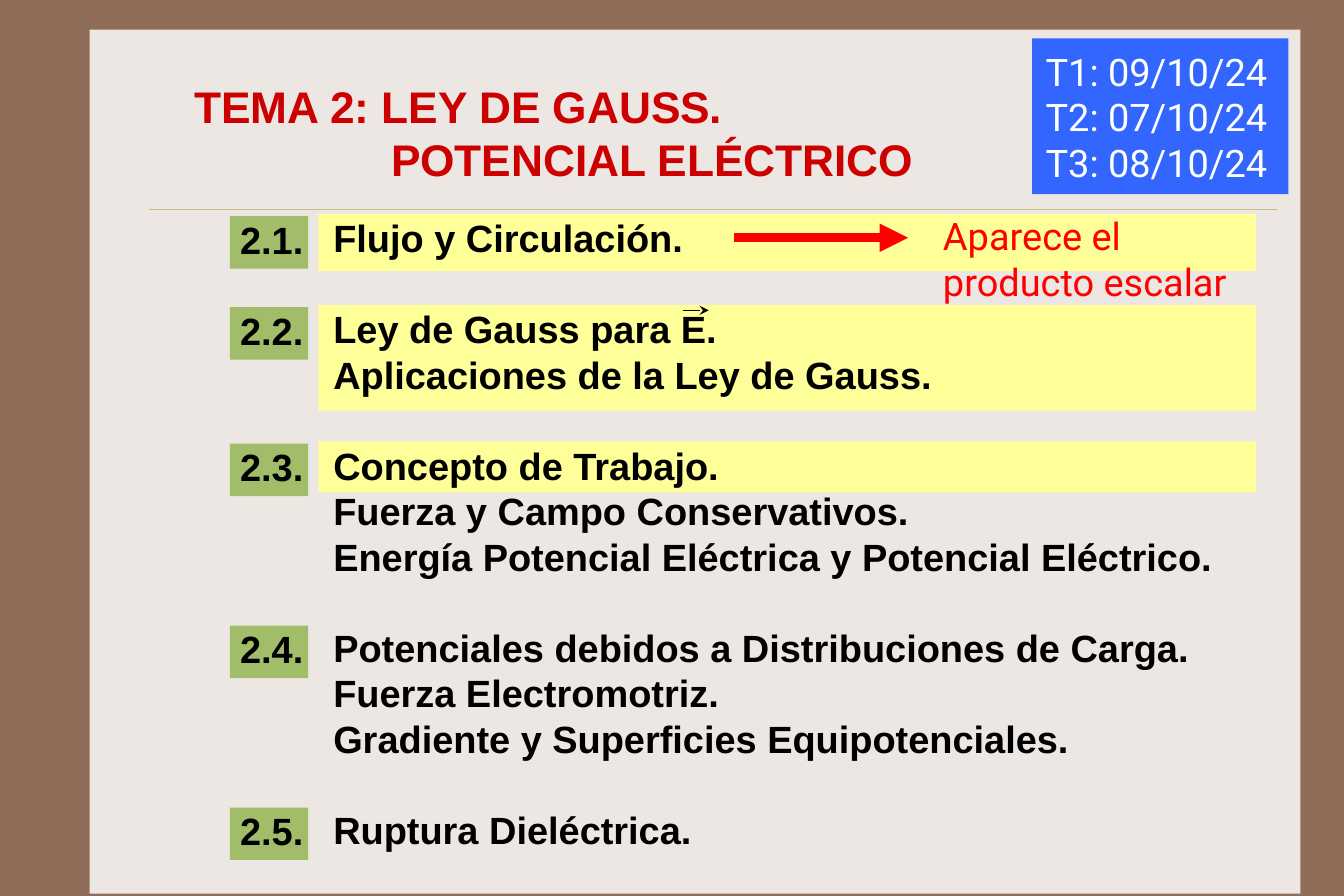
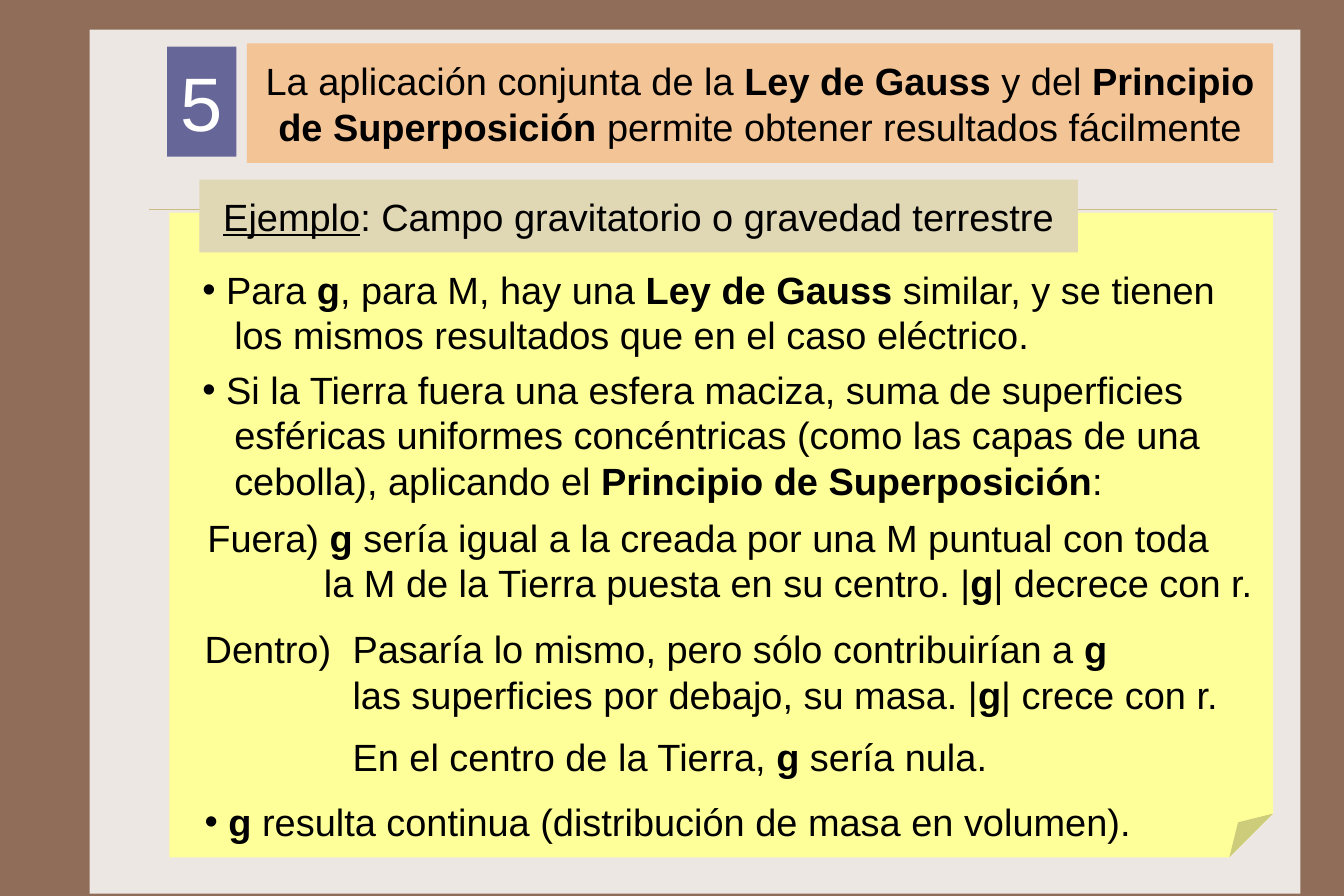
from dataclasses import dataclass

import lxml.etree
import pptx
import pptx.dml.color
import pptx.enum.shapes
import pptx.enum.text
import pptx.oxml.ns
import pptx.util

Cm, Pt = pptx.util.Cm, pptx.util.Pt
Kind = pptx.enum.shapes.MSO_SHAPE
Align = pptx.enum.text.PP_ALIGN
Anchor = pptx.enum.text.MSO_ANCHOR
qn = pptx.oxml.ns.qn

HUES = {
    "back": "906D58", "panel": "EDE7E3", "rule": "CBBD83", "yellow": "FFFF99",
    "green": "A1BD69", "blue": "3366FF", "peach": "F3C495", "sand": "E0D7B5",
    "violet": "666699", "black": "000000", "white": "FFFFFF", "red": "FF0000",
    "title": "CC0000",
}
SIZE = 24
LEAD = 1.2
PITCH = Pt(SIZE * LEAD)
EDGE = 0.3


@dataclass
class Box:
    left: float
    top: float
    width: float
    height: float

    def place(self) -> tuple:
        return Cm(self.left), Cm(self.top), Cm(self.width), Cm(self.height)


@dataclass
class Style:
    size: int = SIZE
    hue: str = "black"
    bold: bool = False
    font: str = "Arial"
    align: Align = Align.LEFT


@dataclass
class Line:
    """Text with bold parts between asterisks; indent in centimetres."""
    text: str
    indent: float = 0
    dot: bool = False


@dataclass
class Topic:
    mark: str
    lines: list[str]
    band: float = 0


@dataclass
class Note:
    left: float
    top: float
    width: float
    lines: list[Line]


TOPICS = [
    Topic("2.1.", ["Flujo y Circulación."], 1.27),
    Topic("2.2.", ["Ley de Gauss para E.", "Aplicaciones de la Ley de Gauss."], 2.36),
    Topic("2.3.", ["Concepto de Trabajo.", "Fuerza y Campo Conservativos.",
                   "Energía Potencial Eléctrica y Potencial Eléctrico."], 1.14),
    Topic("2.4.", ["Potenciales debidos a Distribuciones de Carga.",
                   "Fuerza Electromotriz.",
                   "Gradiente y Superficies Equipotenciales."]),
    Topic("2.5.", ["Ruptura Dieléctrica."]),
]

NOTES = [
    Note(4.22, 5.64, 24.3, [
        Line("Para *g*, para M, hay una *Ley de Gauss* similar, y se tienen", 0.53, True),
        Line("los mismos resultados que en el caso eléctrico.", 0.71)]),
    Note(4.22, 7.87, 24.3, [
        Line("Si la Tierra fuera una esfera maciza, suma de superficies", 0.53, True),
        Line("esféricas uniformes concéntricas (como las capas de una", 0.71),
        Line("cebolla), aplicando el *Principio de Superposición*:", 0.71)]),
    Note(4.33, 11.18, 24.3, [
        Line("Fuera) *g* sería igual a la creada por una M puntual con toda"),
        Line("la M de la Tierra puesta en su centro. |*g*| decrece con r.", 2.6)]),
    Note(4.27, 13.67, 3.4, [Line("Dentro)")]),
    Note(7.57, 13.67, 20.9, [
        Line("Pasaría lo mismo, pero sólo contribuirían a *g*"),
        Line("las superficies por debajo, su masa. |*g*| crece con r.")]),
    Note(7.57, 16.08, 20.9, [Line("En el centro de la Tierra, *g* sería nula.")]),
    Note(4.27, 17.53, 24.3, [
        Line("*g* resulta continua (distribución de masa en volumen).", 0.53, True)]),
]


def tint(name: str) -> pptx.dml.color.RGBColor:
    return pptx.dml.color.RGBColor.from_string(HUES[name])


def paint(shape, hue: str) -> None:
    shape.fill.solid()
    shape.fill.fore_color.rgb = tint(hue)


def block(slide, box: Box, hue: str, kind: Kind = Kind.RECTANGLE):
    shape = slide.shapes.add_shape(kind, *box.place())
    shape.shadow.inherit = False
    paint(shape, hue)
    shape.line.fill.background()
    return shape


def stroke(slide, x: float, y: float, end: float, hue: str, width: float, head: str = ""):
    """Draw a level line from x to end, with an arrowhead if one is named."""
    line = slide.shapes.add_connector(
        pptx.enum.shapes.MSO_CONNECTOR.STRAIGHT, Cm(x), Cm(y), Cm(end), Cm(y))
    line.line.color.rgb = tint(hue)
    line.line.width = Pt(width)
    if head:
        edge = line.element.spPr.find(qn("a:ln"))
        lxml.etree.SubElement(edge, qn("a:tailEnd"), type=head)
    lxml.etree.SubElement(line.element.spPr, qn("a:effectLst"))
    return line


def frame(shape, side: float, cap: float, anchor: Anchor = Anchor.MIDDLE, wrap: bool = True):
    """Set the insets, anchor and wrapping of a shape's text."""
    body = shape.text_frame
    body.auto_size = pptx.enum.text.MSO_AUTO_SIZE.NONE
    body.word_wrap = wrap
    body.vertical_anchor = anchor
    body.margin_left = body.margin_right = Cm(side)
    body.margin_top = body.margin_bottom = Cm(cap)
    return body


def write(body, lines: list[Line], style: Style) -> None:
    body.text = "\n".join(line.text for line in lines)
    for par, line in zip(body.paragraphs, lines):
        props = par._p.get_or_add_pPr()
        props.set("marL", str(Cm(line.indent)))
        props.set("indent", str(-Cm(line.indent) if line.dot else 0))
        if line.dot:
            lxml.etree.SubElement(props, qn("a:buFont"), typeface="Arial")
            lxml.etree.SubElement(props, qn("a:buChar"), char="•")
        par.alignment = style.align
        par.line_spacing = Pt(style.size * LEAD)
        par.text = ""
        for pos, part in enumerate(line.text.split("*")):
            if not part:
                continue
            run = par.add_run()
            run.text = part
            font = run.font
            font.name, font.size = style.font, Pt(style.size)
            font.bold = style.bold or pos % 2 == 1
            font.color.rgb = tint(style.hue)


def label(slide, box: Box):
    return slide.shapes.add_textbox(*box.place())


def head(slide, box: Box, lines: list[Line], style: Style):
    title = slide.shapes.title
    title.left, title.top, title.width, title.height = box.place()
    write(frame(title, 0.28, 0.13), lines, style)
    return title


def dress(deck, layout, slide) -> None:
    """Give the layout its panel and rule, drawn once and shared."""
    back = deck.slide_master.background.fill
    back.solid()
    back.fore_color.rgb = tint("back")
    for holder in list(layout.placeholders):
        if holder.placeholder_format.idx:
            holder.element.getparent().remove(holder.element)
    panel = block(slide, Box(2, 0.66, 27.03, 19.3), "panel")
    rule = stroke(slide, 3.33, 4.67, 28.5, "rule", 0.25)
    for spot, part in enumerate((panel, rule), 2):
        layout.shapes.element.insert(spot, part.element)


def agenda(slide) -> None:
    head(slide, Box(4.06, 1.63, 18.5, 2.67),
         [Line("TEMA 2: LEY DE GAUSS."), Line("POTENCIAL ELÉCTRICO", 4.39)],
         Style(28, "title", True))
    bold = Style(bold=True)
    row, starts = 0, []
    for topic in TOPICS:
        if topic.band:
            band = block(slide, Box(7.11, 4.78, 20.93, topic.band), "yellow")
            band.top += row * PITCH
        tag = block(slide, Box(5.13, 4.83, 1.75, 1.17), "green")
        tag.top += row * PITCH
        write(frame(tag, 0.23, 0, Anchor.TOP, False), [Line(topic.mark)], bold)
        starts.append(topic.lines[0])
        row += len(topic.lines) + 1
    body = frame(label(slide, Box(7.16, 4.67, 21.67, 14.63)), 0.28, 0.13, Anchor.TOP)
    write(body, [Line(text) for topic in TOPICS for text in topic.lines], bold)
    for par in body.paragraphs[1:]:
        if par.text in starts:
            par.space_before = PITCH
    stroke(slide, 15.24, 6.93, 15.82, "black", 1, "stealth")

    dates = block(slide, Box(23.04, 0.86, 5.72, 3.48), "blue")
    write(frame(dates, 0.3, 0.2, wrap=False),
          [Line("T1: 09/10/24"), Line("T2: 07/10/24"), Line("T3: 08/10/24")],
          Style(hue="white", font="Roboto"))
    hint = label(slide, Box(20.8, 4.62, 7.19, 2.31))
    write(frame(hint, 0.25, 0.13, Anchor.TOP, False),
          [Line("Aparece el"), Line("producto escalar")],
          Style(hue="red", font="Roboto"))
    stroke(slide, 16.38, 5.31, 20.27, "red", 6, "triangle")


def example(slide) -> None:
    mid = Style(align=Align.CENTER)
    title = head(slide, Box(5.51, 0.97, 22.91, 2.67), [
        Line("La aplicación conjunta de la *Ley de Gauss* y del *Principio*"),
        Line("*de Superposición* permite obtener resultados fácilmente")], mid)
    paint(title, "peach")
    sheet = block(slide, Box(3.78, 4.75, 24.64, 14.4), "yellow", Kind.FOLDED_CORNER)
    fold = next(sheet.element.iter(qn("a:avLst")))
    fold[:] = []
    lxml.etree.SubElement(fold, qn("a:gd"), name="adj", fmla="val 6800")
    for note in NOTES:
        box = Box(note.left, note.top, note.width, 0.61 + 1.02 * len(note.lines))
        body = frame(label(slide, box), EDGE, EDGE)
        body.margin_right = 0
        write(body, note.lines, Style())
    strip = frame(block(slide, Box(4.45, 4.01, 19.61, 1.63), "sand"), EDGE, EDGE)
    write(strip, [Line("*Ejemplo*: Campo gravitatorio o gravedad terrestre")], mid)
    lead = strip.paragraphs[0].runs[0].font
    lead.bold, lead.underline = False, True
    badge = block(slide, Box(3.73, 1.04, 1.55, 2.46), "violet")
    write(frame(badge, EDGE, 0.2, wrap=False), [Line("5")],
          Style(48, "white", align=Align.CENTER))


def main() -> None:
    deck = pptx.Presentation()
    deck.slide_width, deck.slide_height = Cm(30), Cm(20.01)
    layout = deck.slide_layouts.get_by_name("Title Only")
    first, second = (deck.slides.add_slide(layout) for _ in range(2))
    dress(deck, layout, first)
    agenda(first)
    example(second)
    deck.save("out.pptx")


if __name__ == "__main__":
    main()
